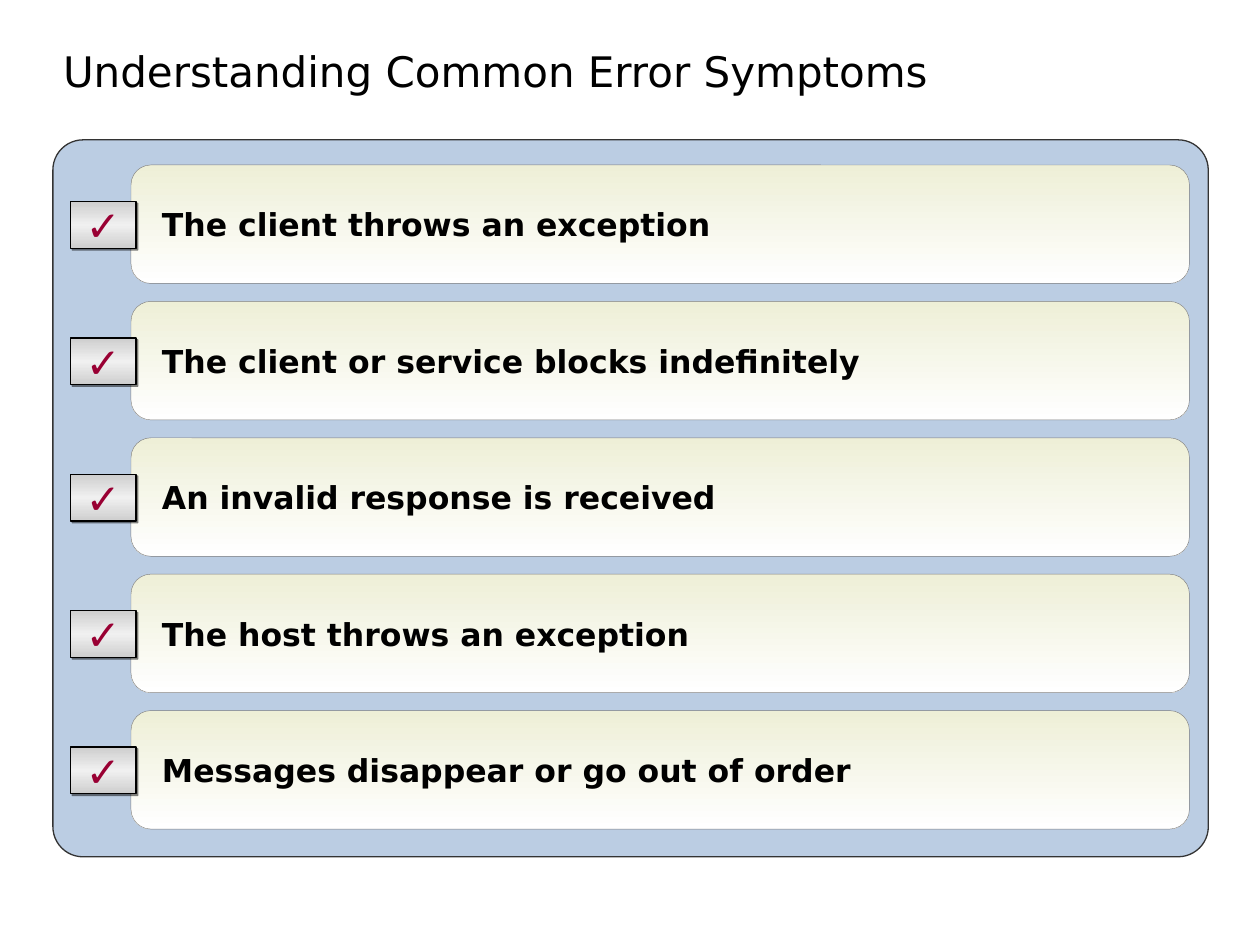
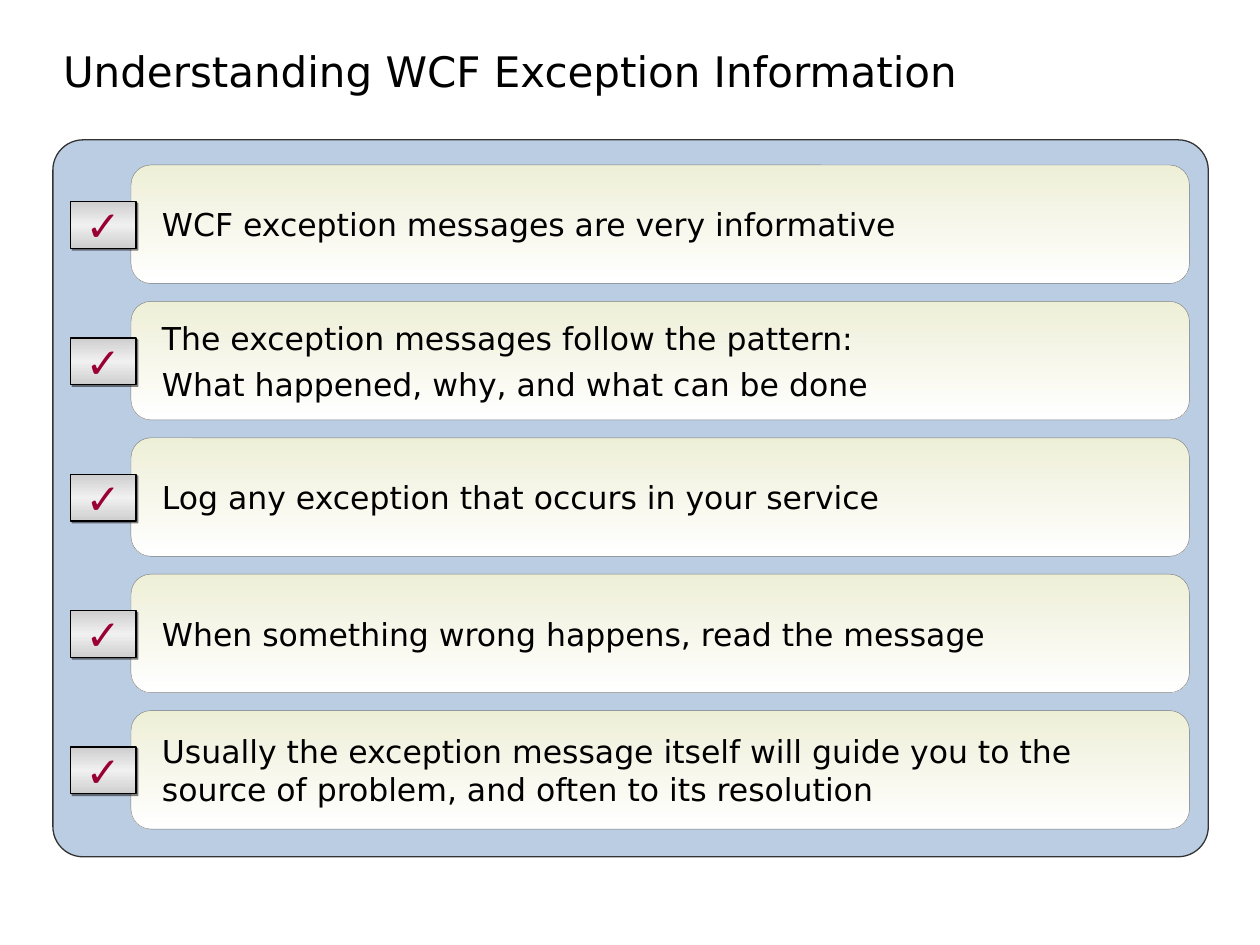
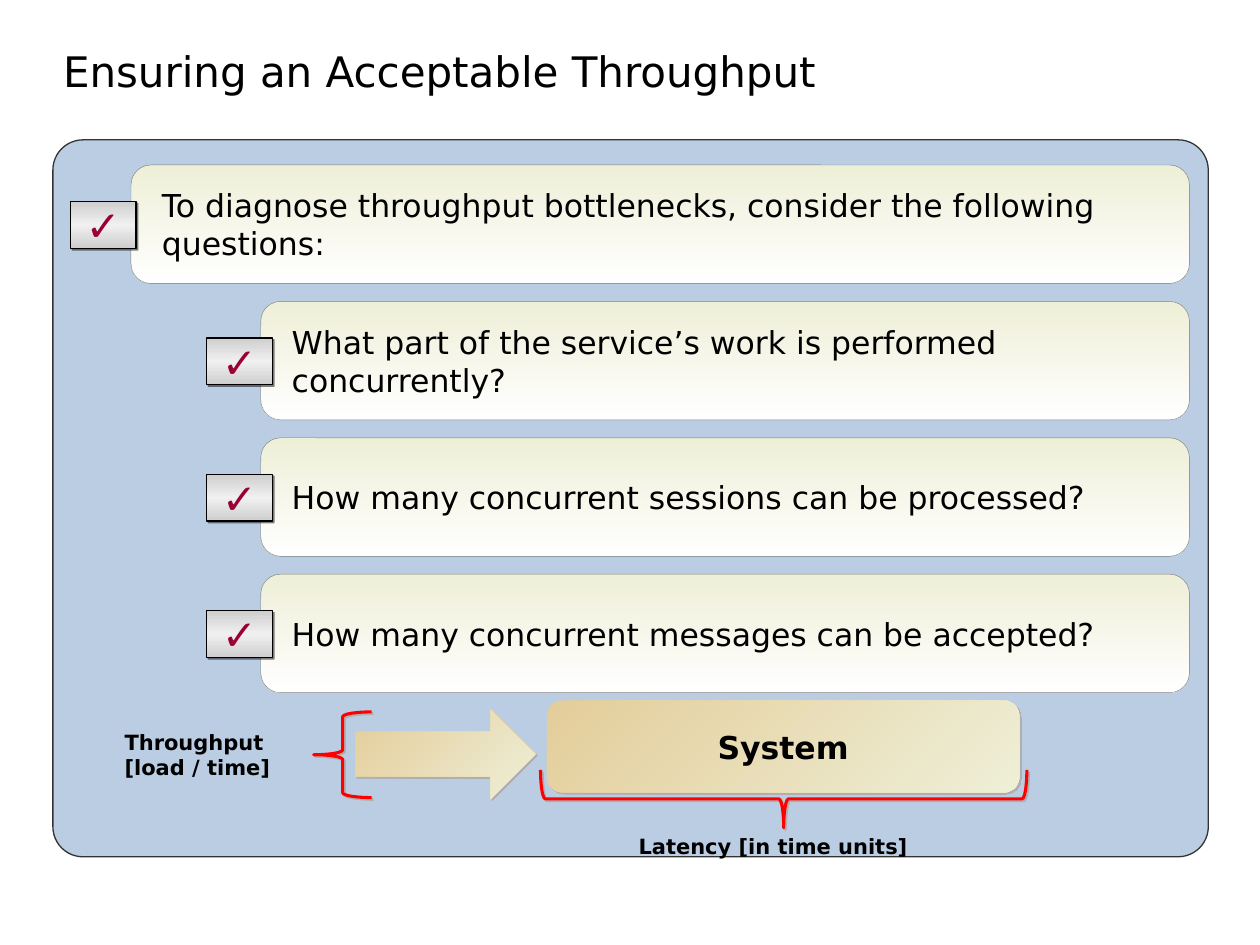
from copy import deepcopy
from dataclasses import dataclass

from lxml import etree
from pptx import Presentation
from pptx.dml.color import RGBColor
from pptx.enum.shapes import MSO_SHAPE
from pptx.enum.text import MSO_ANCHOR, MSO_AUTO_SIZE, PP_ALIGN
from pptx.oxml.ns import qn
from pptx.util import Inches, Pt

ROUNDED = MSO_SHAPE.ROUNDED_RECTANGLE
ARROW = MSO_SHAPE.RIGHT_ARROW
BRACE = MSO_SHAPE.LEFT_BRACE
TOP, MIDDLE, BOTTOM = MSO_ANCHOR.TOP, MSO_ANCHOR.MIDDLE, MSO_ANCHOR.BOTTOM
LEFT, CENTER = PP_ALIGN.LEFT, PP_ALIGN.CENTER


@dataclass(frozen=True)
class Theme:
    font: str = "DejaVu Sans"
    check_font: str = "Arial"
    title_size: int = 24
    body_size: int = 18
    label_size: int = 12
    ink: str = "000000"
    check_ink: str = "990033"
    panel: str = "BBCDE3"
    panel_line: str = "333333"
    card: tuple = ("EEEFD7", "FFFFFF")
    card_line: str = "808080"
    check: tuple = ("CECECE", "F0F0F0", "CECECE")
    system: tuple = ("E4CD9A", "EEEFD7")
    brace: str = "FF0000"
    check_shadow: tuple = ("000000", 50)
    soft_shadow: tuple = ("AFAFAF", 100)


theme = Theme()


def write(box, text, size=theme.body_size, font=theme.font, color=theme.ink, bold=False,
          align=LEFT, anchor=MIDDLE, inset=0.1, inset_right=0.1, wrap=True,
          space_before=0, line_spacing=None):
    frame = box.text_frame
    frame.auto_size = MSO_AUTO_SIZE.NONE
    frame.word_wrap = wrap
    frame.vertical_anchor = anchor
    frame.margin_left, frame.margin_right = Inches(inset), Inches(inset_right)
    frame.margin_top = frame.margin_bottom = Inches(0.05)
    frame.text = text
    for index, para in enumerate(frame.paragraphs):
        para.alignment = align
        para.space_before = Pt(space_before if index else 0)
        if line_spacing:
            para.line_spacing = line_spacing
        for span in para.runs:
            span.font.name = font
            span.font.size = Pt(size)
            span.font.bold = bold
            span.font.color.rgb = RGBColor.from_string(color)
        for line_break in para._p.findall(qn("a:br")):
            line_break.insert(0, deepcopy(para.runs[0]._r.rPr))


def add_form(page, kind, bounds, colors=(), angle=270, line=None, width=0.75,
             shadow=None, rounding=None):
    shape = page.shapes.add_shape(kind, *[Inches(length) for length in bounds])
    if rounding is not None:
        shape.adjustments[0] = rounding
    if len(colors) > 1:
        shape.fill.gradient()
        shape.fill.gradient_angle = angle
        stop_list = shape._element.spPr.find(".//" + qn("a:gsLst"))
        while len(stop_list) < len(colors):
            stop_list.append(deepcopy(stop_list[0]))
        for index, (stop, color) in enumerate(zip(shape.fill.gradient_stops, colors)):
            stop.position = index / (len(colors) - 1)
            stop.color.rgb = RGBColor.from_string(color)
    elif colors:
        shape.fill.solid()
        shape.fill.fore_color.rgb = RGBColor.from_string(colors[0])
    else:
        shape.fill.background()
    if line:
        shape.line.color.rgb = RGBColor.from_string(line)
        shape.line.width = Pt(width)
    else:
        shape.line.fill.background()
    shape.shadow.inherit = False
    if shadow:
        color, opacity = shadow
        effects = shape._element.spPr.find(qn("a:effectLst"))
        outer = etree.SubElement(effects, qn("a:outerShdw"), blurRad="0", dist=str(Pt(1.4)),
                                 dir="2700000", algn="ctr", rotWithShape="0")
        tint = etree.SubElement(outer, qn("a:srgbClr"), val=color)
        etree.SubElement(tint, qn("a:alpha"), val=str(opacity * 1000))
    return shape


CARD_RIGHT = 9.44
CARD_TOP = 1.31
CARD_HEIGHT = 0.94
CARD_PITCH = 4.33 / 4
MAIN = (1.04, 0.56)
NESTED = (2.07, 1.64)

slides = [
    ("Understanding Common Error Symptoms", True, [
        (MAIN, "The client throws an exception"),
        (MAIN, "The client or service blocks indefinitely"),
        (MAIN, "An invalid response is received"),
        (MAIN, "The host throws an exception"),
        (MAIN, "Messages disappear or go out of order"),
    ]),
    ("Understanding WCF Exception Information", False, [
        (MAIN, "WCF exception messages are very informative"),
        (MAIN, "The exception messages follow the pattern:\n"
               "What happened, why, and what can be done"),
        (MAIN, "Log any exception that occurs in your service"),
        (MAIN, "When something wrong happens, read the message"),
        (MAIN, "Usually the exception message itself will guide you to the "
               "source of problem, and often to its resolution"),
    ]),
    ("Ensuring an Acceptable Throughput", False, [
        (MAIN, "To diagnose throughput bottlenecks, consider the following questions:"),
        (NESTED, "What part of the service’s work is performed concurrently?"),
        (NESTED, "How many concurrent sessions can be processed?"),
        (NESTED, "How many concurrent messages can be accepted?"),
    ]),
]

deck = Presentation()
deck.slide_width, deck.slide_height = Inches(10), Inches(7.5)

for heading, bold, cards in slides:
    page = deck.slides.add_slide(deck.slide_layouts[5])
    title = page.shapes.title
    title.left, title.top, title.width, title.height = (
        Inches(0.5), Inches(0), Inches(8.5), Inches(0.81))
    write(title, heading, size=theme.title_size, anchor=BOTTOM, inset=0, line_spacing=0.85)
    add_form(page, ROUNDED, (0.42, 1.11, 9.17, 5.69), [theme.panel],
             line=theme.panel_line, rounding=0.042)
    for row, ((card_left, check_left), text) in enumerate(cards):
        top = CARD_TOP + row * CARD_PITCH
        card = add_form(page, ROUNDED, (card_left, top, CARD_RIGHT - card_left, CARD_HEIGHT),
                        theme.card, line=theme.card_line, width=0.25, rounding=0.167)
        write(card, text, bold=bold, inset=0.2, inset_right=0.2, space_before=4.5)
        check = add_form(page, ROUNDED, (check_left, top + 0.29, 0.52, 0.37), theme.check,
                         line=theme.ink, shadow=theme.check_shadow, rounding=0)
        write(check, "✓", size=theme.title_size, font=theme.check_font,
              color=theme.check_ink, bold=True, align=CENTER, wrap=False)

system = add_form(page, ROUNDED, (4.34, 5.56, 3.75, 0.73), theme.system, angle=315,
                  shadow=theme.soft_shadow, rounding=0.167)
write(system, "System", bold=True, align=CENTER, inset=0.2, inset_right=0.2)
add_form(page, ARROW, (2.82, 5.63, 1.43, 0.71), theme.system, angle=315,
         shadow=theme.soft_shadow)

for bounds, rotation in [((2.49, 5.65, 0.46, 0.68), 0), ((5.99, 4.41, 0.46, 3.86), 270)]:
    brace = add_form(page, BRACE, bounds, line=theme.brace, width=1.75,
                     shadow=theme.soft_shadow)
    brace.rotation = rotation

for bounds, text in [((0.89, 5.74, 1.69, 0.5), "Throughput\v[load / time]"),
                     ((4.97, 6.57, 2.7, 0.3), "Latency [in time units]")]:
    label = page.shapes.add_textbox(*[Inches(length) for length in bounds])
    write(label, text, size=theme.label_size, bold=True, anchor=TOP)

deck.save("out.pptx")
